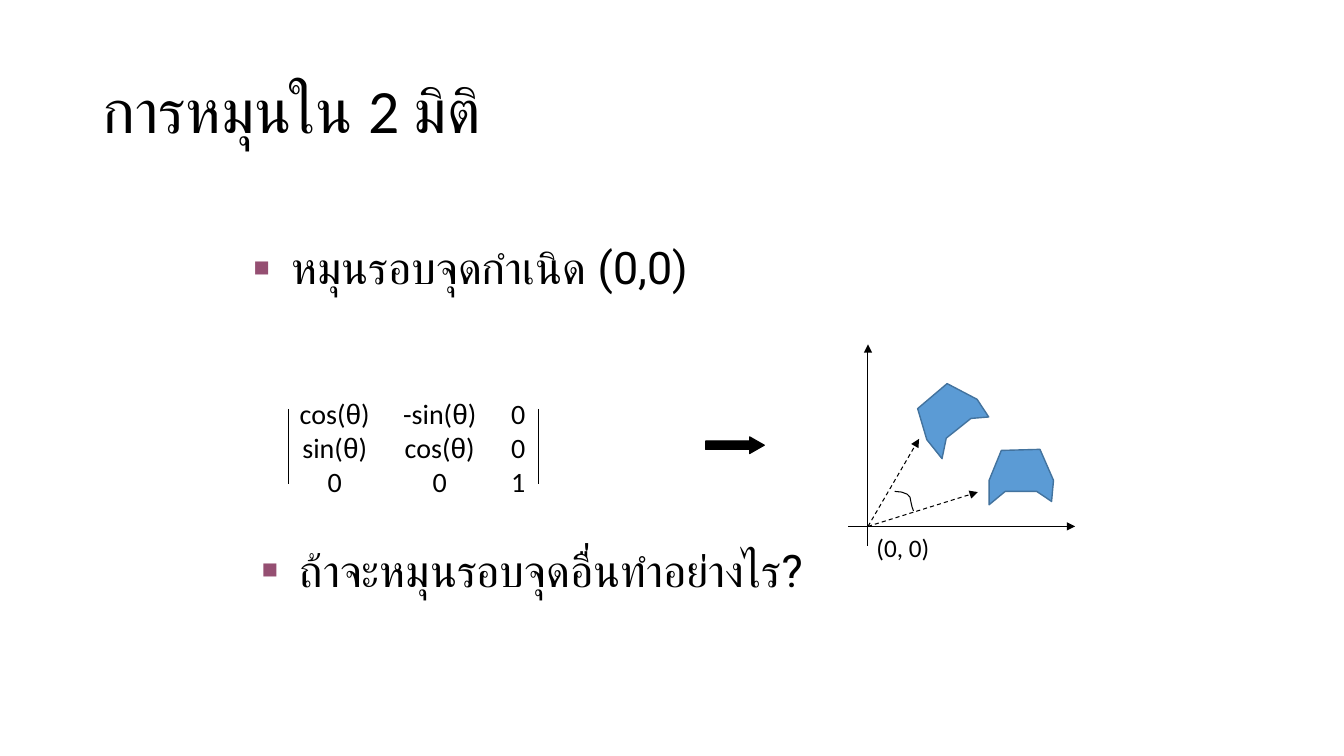
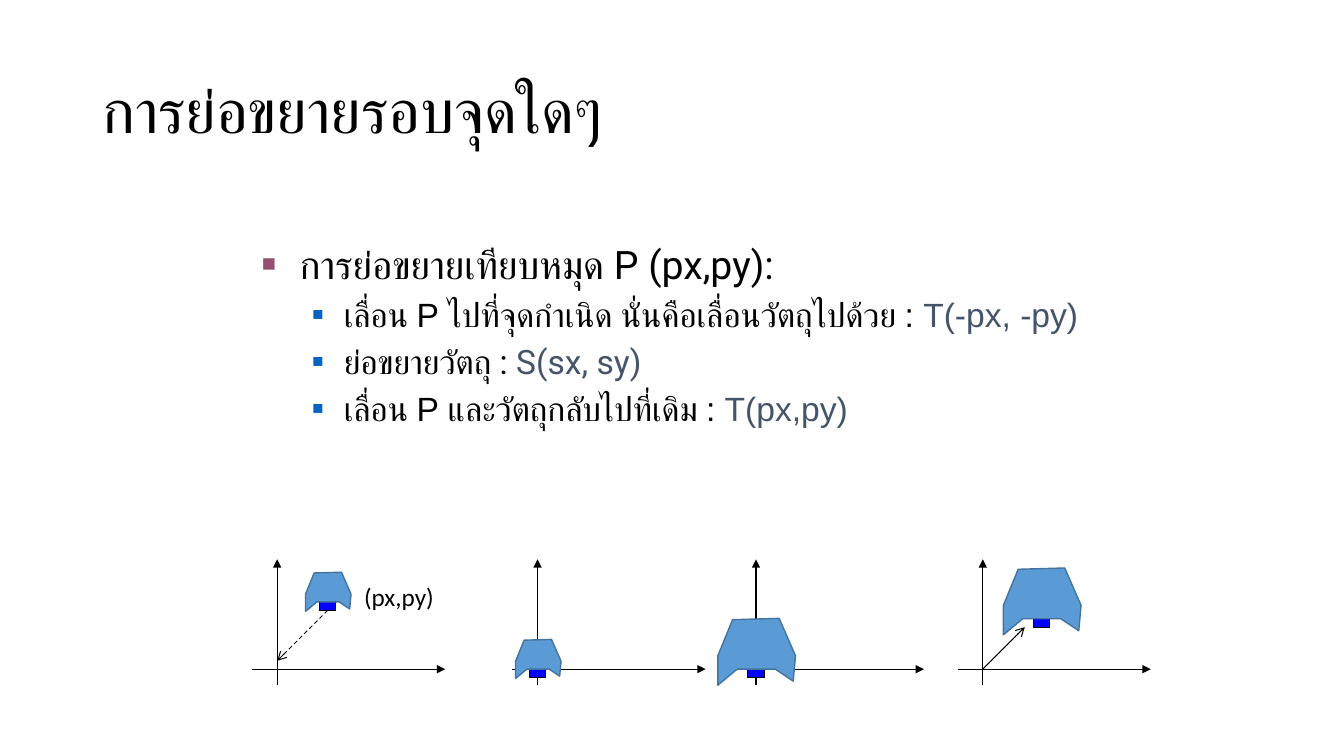
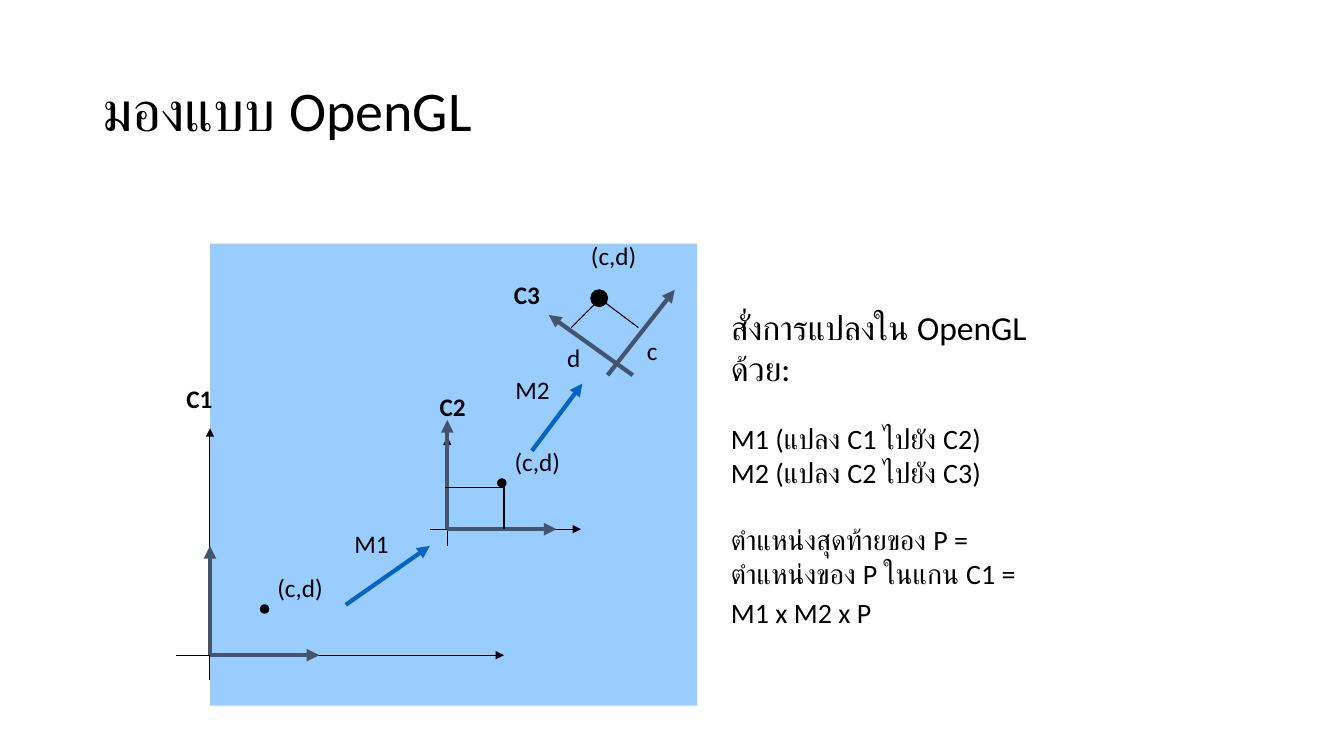
import itertools

import lxml.etree
import pptx
import pptx.dml.color
import pptx.enum.dml
import pptx.enum.shapes
import pptx.enum.text
import pptx.oxml.ns
import pptx.util

Pt = pptx.util.Pt
qn = pptx.oxml.ns.qn
SHAPES = pptx.enum.shapes.MSO_SHAPE

# Shared colours and fonts
BLACK, SLATE, BLUE = "000000", "44546A", "0563C1"
PLUM, PIN_BLUE, SKY = "954F72", "0000FF", "99CCFF"
BODY_FILL, BODY_LINE = "5B9BD5", "43739E"
MAIN, BODY, PLAIN = "Calibri", "Roboto", "Arial"

# Outline of the car body, as shares of its width and height
BODY_OUTLINE = [(0, .56), (0, 1), (.25, .76), (.74, .76),
                (.97, .94), (1, .56), (.79, 0), (.19, .02)]
NOTCH = .76
BODY_RATIO = .86


def rgb(code):
    return pptx.dml.color.RGBColor.from_string(code)


def add_xml(parent, tag, **attributes):
    child = lxml.etree.SubElement(parent, qn(tag))
    for name, value in attributes.items():
        child.set(name, str(value))
    return child


# Text
def add_box(page, left, top, width, height, wrap=True):
    frame = page.shapes.add_textbox(Pt(left), Pt(top), Pt(width), Pt(height)).text_frame
    frame.word_wrap = wrap
    return frame


def add_para(frame, spans, size, name=MAIN, bold=False, before=0):
    """Adds a paragraph; spans are (text, font name, colour), None to inherit."""
    first = frame.paragraphs[0]
    para = frame.add_paragraph() if first.runs else first
    para.space_before = Pt(before)
    font = para.font
    font.size, font.name, font.bold = Pt(size), name, bold
    font.color.rgb = rgb(BLACK)
    for text, span_font, colour in spans:
        span = para.add_run()
        span.text = text
        if span_font:
            span.font.name = span_font
        if colour:
            span.font.color.rgb = rgb(colour)
    return para


def add_title(page, text, size=44):
    frame = add_box(page, 66, 29, 828, 104)
    frame.vertical_anchor = pptx.enum.text.MSO_ANCHOR.MIDDLE
    para = add_para(frame, [(text, None, None)], size)
    para.line_spacing = .9
    defaults = para._p.get_or_add_pPr().find(qn("a:defRPr"))
    add_xml(defaults, "a:cs", typeface=BODY)


def add_bullet(frame, spans, size, level=0):
    para = add_para(frame, spans, size, BODY, before=.2 * size)
    para.level = level
    margin, hang, colour, percent = [(27, 27, PLUM, 60), (58.5, 22.5, BLUE, 55)][level]
    props = para._p.get_or_add_pPr()
    props.set("marL", str(Pt(margin)))
    props.set("indent", str(-Pt(hang)))
    add_xml(add_xml(props, "a:buClr"), "a:srgbClr", val=colour)
    add_xml(props, "a:buSzPct", val=percent * 1000)
    add_xml(props, "a:buFont", typeface=PLAIN)
    add_xml(props, "a:buChar", char="■")
    props.append(props.find(qn("a:defRPr")))


def add_label(page, left, top, width, text, bold=False):
    frame = add_box(page, left, top, width, 29, wrap=False)
    add_para(frame, [(text, None, None)], 18, bold=bold)


# Lines and shapes
def add_line(page, start, end, colour=BLACK, weight=.75, head=None, dashed=False):
    line = page.shapes.add_connector(
        pptx.enum.shapes.MSO_CONNECTOR.STRAIGHT, *map(Pt, (*start, *end)))
    line.line.color.rgb = rgb(colour)
    line.line.width = Pt(weight)
    if dashed:
        line.line.dash_style = pptx.enum.dml.MSO_LINE.DASH
    props = line.element.spPr
    if head:
        add_xml(props.find(qn("a:ln")), "a:tailEnd", type=head)
    add_xml(props, "a:effectLst")


def paint(shape, fill=None, line=None, weight=.75):
    shape.shadow.inherit = False
    for part, colour in ((shape.fill, fill), (shape.line.fill, line)):
        if colour:
            part.solid()
            part.fore_color.rgb = rgb(colour)
        else:
            part.background()
    if line:
        shape.line.width = Pt(weight)
    return shape


def add_shape(page, kind, left, top, width, height, fill, line=None):
    shape = page.shapes.add_shape(kind, Pt(left), Pt(top), Pt(width), Pt(height))
    return paint(shape, fill, line)


def add_outline(page, points, closed=True):
    points = [(Pt(x), Pt(y)) for x, y in points]
    builder = page.shapes.build_freeform(*points[0])
    builder.add_line_segments(points[1:], close=closed)
    return builder.convert_to_shape()


def add_body(page, left, top, width):
    height = width * BODY_RATIO
    outline = [(left + x * width, top + y * height) for x, y in BODY_OUTLINE]
    return paint(add_outline(page, outline), BODY_FILL, BODY_LINE, 1)


def add_axes(page, left, top, width, height, origin_x, origin_y):
    """Draws two axes that cross at an offset in the box; returns the crossing."""
    x, y = left + origin_x, top + origin_y
    add_line(page, (left, y), (left + width, y), head="triangle")
    add_line(page, (x, top + height), (x, top), head="triangle")
    return x, y


# Rotation slide
def add_matrix(page, left, top, width, height, rows):
    frame = add_box(page, left, top, width, height)
    for row in rows:
        spans = [("".join(chars), PLAIN if greek else None, None)
                 for greek, chars in itertools.groupby(row, lambda char: char == "θ")]
        props = add_para(frame, spans, 20)._p.get_or_add_pPr()
        tabs = add_xml(props, "a:tabLst")
        for stop in (38, 113, 169):
            add_xml(tabs, "a:tab", pos=Pt(stop), algn="ctr")
        props.append(props.find(qn("a:defRPr")))
    for x in (left + 12, left + width - 1):
        add_line(page, (x, top + 12), (x, top + 66))


def add_rotation_diagram(page, left, top):
    x, y = add_axes(page, left, top, 162, 144, 14, 130)
    for reach, rise in ((78.5, 24.5), (36.5, 62.5)):
        add_line(page, (x, y), (x + reach, y - rise), head="triangle", dashed=True)
    arc = [(32.5, 11), (31.5, 14), (31, 16), (30, 21), (28, 23), (24, 24.5), (19, 25)]
    paint(add_outline(page, [(x + dx, y - dy) for dx, dy in arc], False), line=BLACK)
    add_body(page, left + 100.5, top + 75, 46)
    add_body(page, left + 49.5, top + 32, 46).rotation = 321.3
    add_label(page, left + 13, top + 131, 53, "(0, 0)")


def build_rotation(page):
    for left, top, text in ((174, 168, "หมุนรอบจุดกำเนิด (0,0)"),
                            (180, 384, "ถ้าจะหมุนรอบจุดอื่นทำอย่างไร?")):
        add_bullet(add_box(page, left, top, 630, 108), [(text, None, None)], 32)
    add_matrix(page, 194, 280, 192, 82, ["\tcos(θ)\t-sin(θ)\t0",
                                         "\tsin(θ)\tcos(θ)\t0",
                                         "\t0\t0\t1"])
    arrow = add_shape(page, SHAPES.RIGHT_ARROW, 504, 312, 42, 12, BLACK, BLACK)
    arrow.adjustments[1] = .875
    add_rotation_diagram(page, 606, 246)
    add_title(page, "การหมุนใน 2 มิติ")


# Scaling slide
def add_scaling_step(page, left, top, pin, body_width):
    """Draws axes and a body pinned at an offset from the origin."""
    x, y = add_axes(page, left, top, 138, 90, 18, 78.5)
    pin_x, pin_y = x + pin[0], y + pin[1]
    add_shape(page, SHAPES.RECTANGLE, pin_x - 6, pin_y, 12, 6, PIN_BLUE, BLACK)
    add_body(page, pin_x - body_width / 2 + .5,
             pin_y - NOTCH * BODY_RATIO * body_width, body_width)
    return (x, y), (pin_x, pin_y)


def build_scaling(page):
    frame = add_box(page, 180, 168, 612, 324)
    add_bullet(frame, [("การย่อขยายเทียบหมุด P (px,py):", None, None)], 28)
    for text, formula, name in (
            ("เลื่อน P ไปที่จุดกำเนิด นั่นคือเลื่อนวัตถุไปด้วย : ", "T(-px, -py)", PLAIN),
            ("ย่อขยายวัตถุ : ", "S(sx, sy)", BODY),
            ("เลื่อน P และวัตถุกลับไปที่เดิม : ", "T(px,py)", PLAIN)):
        add_bullet(frame, [(text, name, None), (formula, name, SLATE)], 24, level=1)

    top, small, large = 399.5, 32.5, 55.5
    origin, pin = add_scaling_step(page, 180, top, (36, -48), small)
    add_line(page, (pin[0], pin[1] + 6), (origin[0], origin[1] - 6),
             head="arrow", dashed=True)
    add_label(page, pin[0] + 19, pin[1] - 18, 65, "(px,py)")
    add_scaling_step(page, 366, top, (0, 0), small)
    add_scaling_step(page, 522, top, (0, 0), large)
    origin, pin = add_scaling_step(page, 684, top, (42, -36), large)
    add_line(page, origin, (pin[0] - 12, pin[1] + 6), head="arrow")
    add_title(page, "การย่อขยายรอบจุดใดๆ")


# Coordinate frames slide
def add_thick_arrow(page, start, end, colour=SLATE):
    add_line(page, start, end, colour, 3, "triangle")


def add_dot(page, left, top, size):
    add_shape(page, SHAPES.OVAL, left, top, size, size, BLACK, BLACK)


def add_upright_frame(page, box, origin, name):
    left, top = box[:2]
    x, y = add_axes(page, *box, *origin)
    for end in ((x, y - 78), (x + 78, y)):
        add_thick_arrow(page, (x, y), end)
    add_dot(page, x + 36, y - 36, 6)
    add_label(page, left, top - 36, 33, name, bold=True)
    add_label(page, x + 41, y - 63, 48, "(c,d)")
    return x, y


def add_tilted_frame(page, left, top):
    add_thick_arrow(page, (left + 74, top + 100), (left + 122, top + 39))
    add_thick_arrow(page, (left + 92, top + 100), (left + 32, top + 57))
    add_dot(page, left + 62, top + 39, 12)
    for start, end in ((72, 96), (66, 48)):
        add_line(page, (left + start, top + 48), (left + end, top + 66))
    for dx, dy, width, text in ((55, 0, 48, "(c,d)"), (95, 68, 24, "c"), (38, 73, 25, "d")):
        add_label(page, left + dx, top + dy, width, text)
    add_label(page, left, top + 28, 33, "C3", bold=True)


def add_commands(page, left, top, width, height):
    frame = add_box(page, left, top, width, height)
    for text, size, before in (("สั่งการแปลงใน OpenGL ด้วย:", 24, 0),
                               ("M1 (แปลง C1 ไปยัง C2)", 20, 24),
                               ("M2 (แปลง C2 ไปยัง C3)", 20, 0),
                               ("ตำแหน่งสุดท้ายของ P =", 20, 24),
                               ("ตำแหน่งของ P ในแกน C1 =", 20, 0),
                               ("M1 x M2 x P", 20, 4)):
        add_para(frame, [(text, None, None)], size, before=before)


def build_frames(page):
    add_shape(page, SHAPES.RECTANGLE, 150, 174, 348, 330, SKY)
    add_upright_frame(page, (126, 306, 234, 180), (24, 162), "C1")
    x, y = add_upright_frame(page, (307, 312, 108, 78), (12.5, 66), "C2")
    add_line(page, (x + 40.5, y - 30), (x + 40.5, y))
    add_line(page, (x - 1.5, y - 30), (x + 40.5, y - 30))
    add_tilted_frame(page, 360, 168)
    add_thick_arrow(page, (247, 432), (307, 390), BLUE)
    add_label(page, 246, 374, 40, "M1")
    add_thick_arrow(page, (380, 322), (416, 274), BLUE)
    add_label(page, 361, 264, 40, "M2")
    add_commands(page, 515, 216, 241, 211)
    add_title(page, "มองแบบ OpenGL", 40)


deck = pptx.Presentation()
deck.slide_width, deck.slide_height = Pt(960), Pt(540)
for build in (build_rotation, build_scaling, build_frames):
    build(deck.slides.add_slide(deck.slide_layouts[6]))
deck.save("out.pptx")
